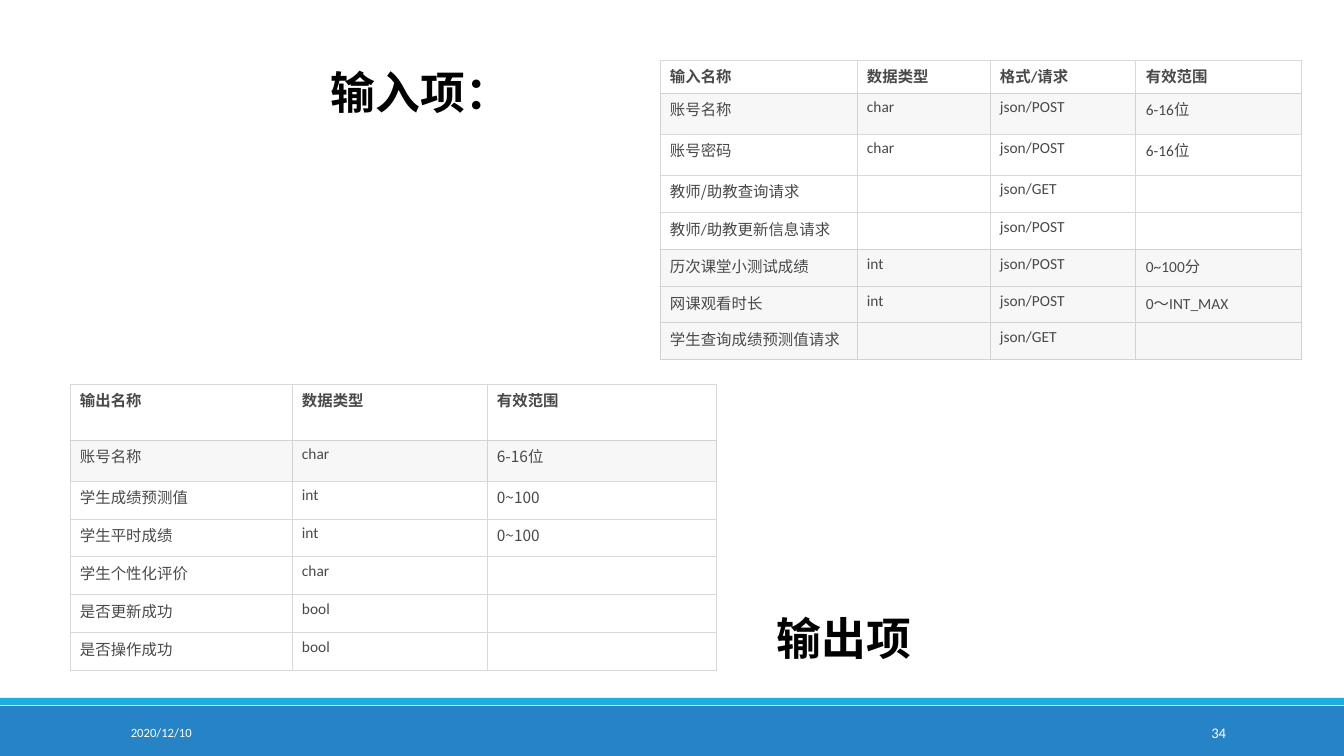
import itertools

import pptx
import pptx.dml.color
import pptx.enum.shapes
import pptx.enum.text
import pptx.oxml.ns
import pptx.util
from lxml import etree

RGBColor = pptx.dml.color.RGBColor
WHITE = RGBColor(0xFF, 0xFF, 0xFF)
BLACK = RGBColor(0, 0, 0)
BLUE = RGBColor(0x26, 0x83, 0xC6)
CYAN = RGBColor(0x1C, 0xAD, 0xE4)
CELL_TEXT = RGBColor(0x49, 0x49, 0x49)
GREY_ROW = RGBColor(0xF7, 0xF7, 0xF7)
GREY_ROW_LINE = RGBColor(0xD2, 0xD2, 0xD2)
WHITE_ROW_LINE = RGBColor(0xD9, 0xD9, 0xD9)

LATIN = "Calibri"
CHINESE = "Noto Sans CJK SC"
PX = 914400 / 100.8
qn = pptx.oxml.ns.qn


def px(*lengths):
    """Turn pixel lengths into EMU."""
    return [pptx.util.Emu(round(length * PX)) for length in lengths]


def add_text(paragraph, text, font_name, size, color, bold=False):
    run = paragraph.add_run()
    run.text = text
    font_values = {"name": font_name, "size": pptx.util.Pt(size), "bold": bold}
    for name, value in font_values.items():
        setattr(run.font, name, value)
    run.font.color.rgb = color
    east_asian = etree.SubElement(run.font._element, qn("a:ea"))
    east_asian.set("typeface", CHINESE)


presentation = pptx.Presentation()
presentation.slide_width, presentation.slide_height = px(1344, 756)
slide = presentation.slides.add_slide(presentation.slide_layouts[6])

# Footer bars
for top, height, color in [(706, 50, BLUE), (698, 7, CYAN)]:
    bar = slide.shapes.add_shape(
        pptx.enum.shapes.MSO_SHAPE.RECTANGLE, *px(0, top, 1344, height))
    bar.shadow.inherit = False
    bar.fill.solid()
    bar.fill.fore_color.rgb = color
    bar.line.fill.background()

# Titles and footer texts
LEFT, RIGHT = pptx.enum.text.PP_ALIGN.LEFT, pptx.enum.text.PP_ALIGN.RIGHT
TOP, MIDDLE = pptx.enum.text.MSO_ANCHOR.TOP, pptx.enum.text.MSO_ANCHOR.MIDDLE
text_boxes = [
    ("2020/12/10", (121, 712, 272, 41), LATIN, 9, WHITE, False, LEFT, MIDDLE),
    ("34", (1092, 712, 144, 41), LATIN, 10.5, WHITE, False, RIGHT, MIDDLE),
    ("输入项：", (321, 60, 251, 65), CHINESE, 32, BLACK, True, LEFT, TOP),
    ("输出项", (767, 606, 251, 65), CHINESE, 32, BLACK, True, LEFT, TOP),
]
for text, box, font_name, size, color, bold, alignment, anchor in text_boxes:
    frame = slide.shapes.add_textbox(*px(*box)).text_frame
    frame.word_wrap = True
    frame.vertical_anchor = anchor
    frame.paragraphs[0].alignment = alignment
    add_text(frame.paragraphs[0], text, font_name, size, color, bold)

# Tables: column edges, row edges, grey rows, cells set in the Chinese font, texts
input_rows = [
    ["输入名称", "数据类型", "格式/请求", "有效范围"],
    ["账号名称", "char", "json/POST", "6-16位"],
    ["账号密码", "char", "json/POST", "6-16位"],
    ["教师/助教查询请求", "", "json/GET", ""],
    ["教师/助教更新信息请求", "", "json/POST", ""],
    ["历次课堂小测试成绩", "int", "json/POST", "0~100分"],
    ["网课观看时长", "int", "json/POST", "0～INT_MAX"],
    ["学生查询成绩预测值请求", "", "json/GET", ""],
]
output_rows = [
    ["输出名称", "数据类型", "有效范围"],
    ["账号名称", "char", "6-16位"],
    ["学生成绩预测值", "int", "0~100"],
    ["学生平时成绩", "int", "0~100"],
    ["学生个性化评价", "char", ""],
    ["是否更新成功", "bool", ""],
    ["是否操作成功", "bool", ""],
]
tables = [
    ([660, 857, 990, 1136, 1302], [60, 93, 134, 175, 213, 250, 287, 323, 360],
     {1, 5, 6, 7}, {(3, 0)}, input_rows),
    ([70, 292, 487, 717], [384, 440, 481, 519, 557, 595, 633, 671],
     {1}, {(0, 0), (0, 1), (0, 2), (1, 2), (2, 2), (3, 2)}, output_rows),
]
for column_edges, row_edges, grey_rows, chinese_cells, rows in tables:
    left, top = column_edges[0], row_edges[0]
    table = slide.shapes.add_table(
        len(rows), len(rows[0]),
        *px(left, top, column_edges[-1] - left, row_edges[-1] - top)).table
    table.first_row = table.horz_banding = False
    for column, (start, end) in zip(table.columns, itertools.pairwise(column_edges)):
        column.width = px(end - start)[0]
    for row, (start, end) in zip(table.rows, itertools.pairwise(row_edges)):
        row.height = px(end - start)[0]

    line_colors = [GREY_ROW_LINE if index in grey_rows else WHITE_ROW_LINE
                   for index in range(len(rows))]
    for row_index, texts in enumerate(rows):
        own_color = line_colors[row_index]
        below_color = line_colors[min(row_index + 1, len(rows) - 1)]
        for column_index, text in enumerate(texts):
            cell = table.cell(row_index, column_index)
            cell.margin_left, cell.margin_right = px(10, 10)
            cell.margin_top, cell.margin_bottom = px(5, 5)
            properties = cell._tc.get_or_add_tcPr()
            for side in "LRTB":
                line = etree.SubElement(properties, qn(f"a:ln{side}"), w="9525")
                line_fill = etree.SubElement(line, qn("a:solidFill"))
                line_color = below_color if side == "B" else own_color
                etree.SubElement(line_fill, qn("a:srgbClr"), val=str(line_color))
            cell.fill.solid()
            cell.fill.fore_color.rgb = GREY_ROW if row_index in grey_rows else WHITE
            paragraph = cell.text_frame.paragraphs[0]
            if text:
                is_chinese = (row_index, column_index) in chinese_cells
                add_text(paragraph, text, CHINESE if is_chinese else LATIN,
                         11, CELL_TEXT, row_index == 0)
            else:
                # An empty cell keeps the small size so that its row does not grow
                etree.SubElement(paragraph._p, qn("a:endParaRPr"), sz="1100")

presentation.save("out.pptx")
